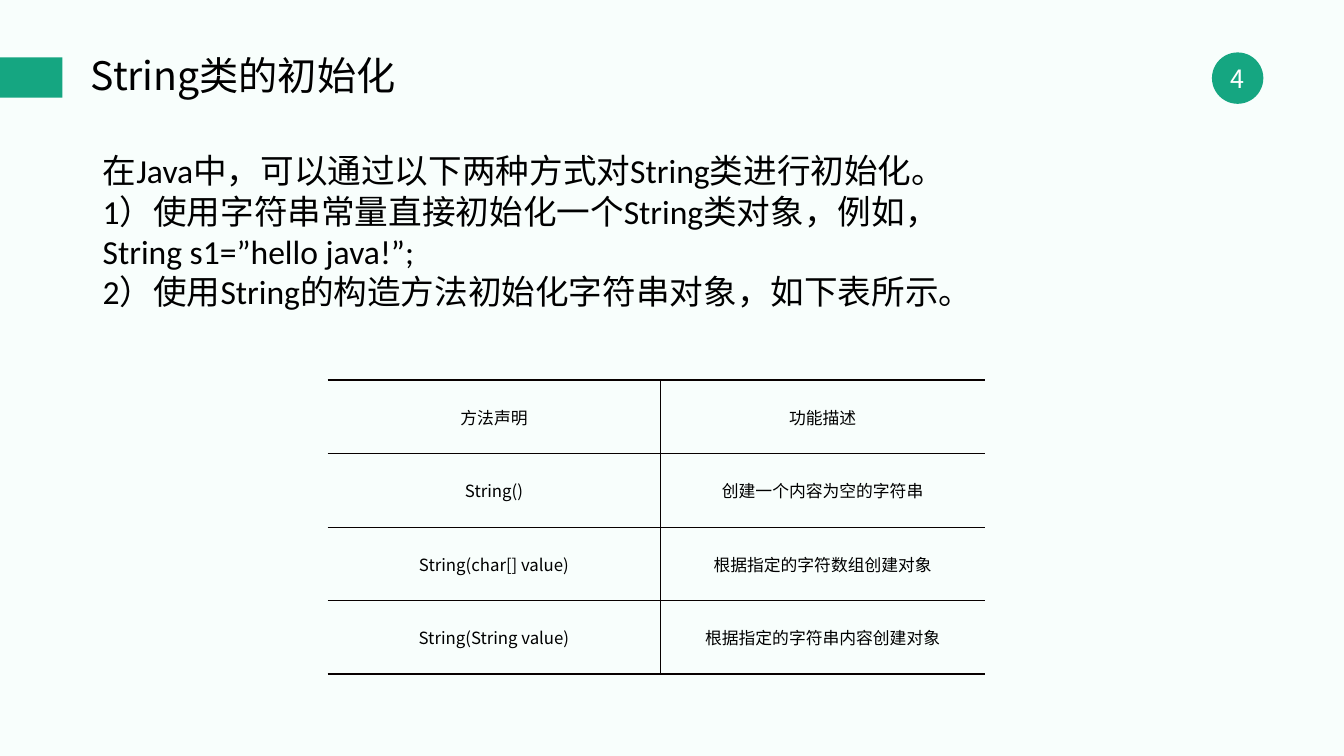
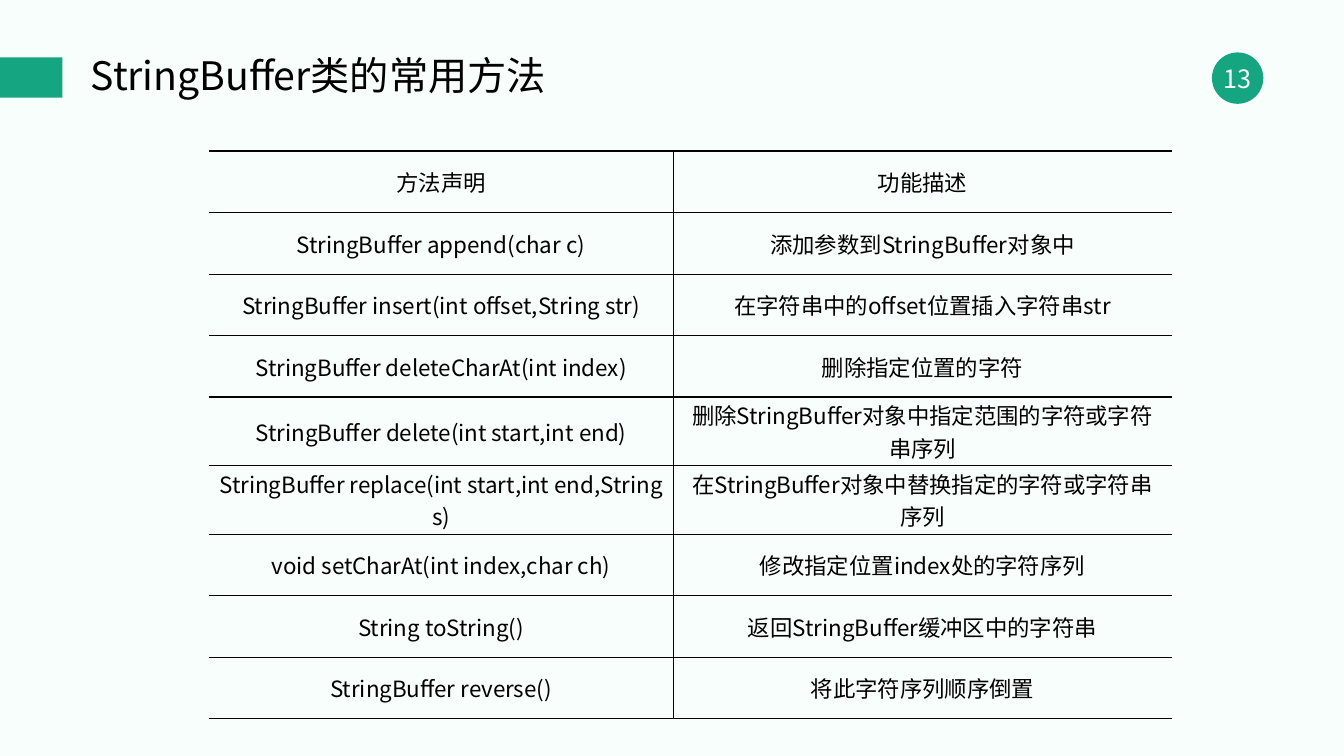
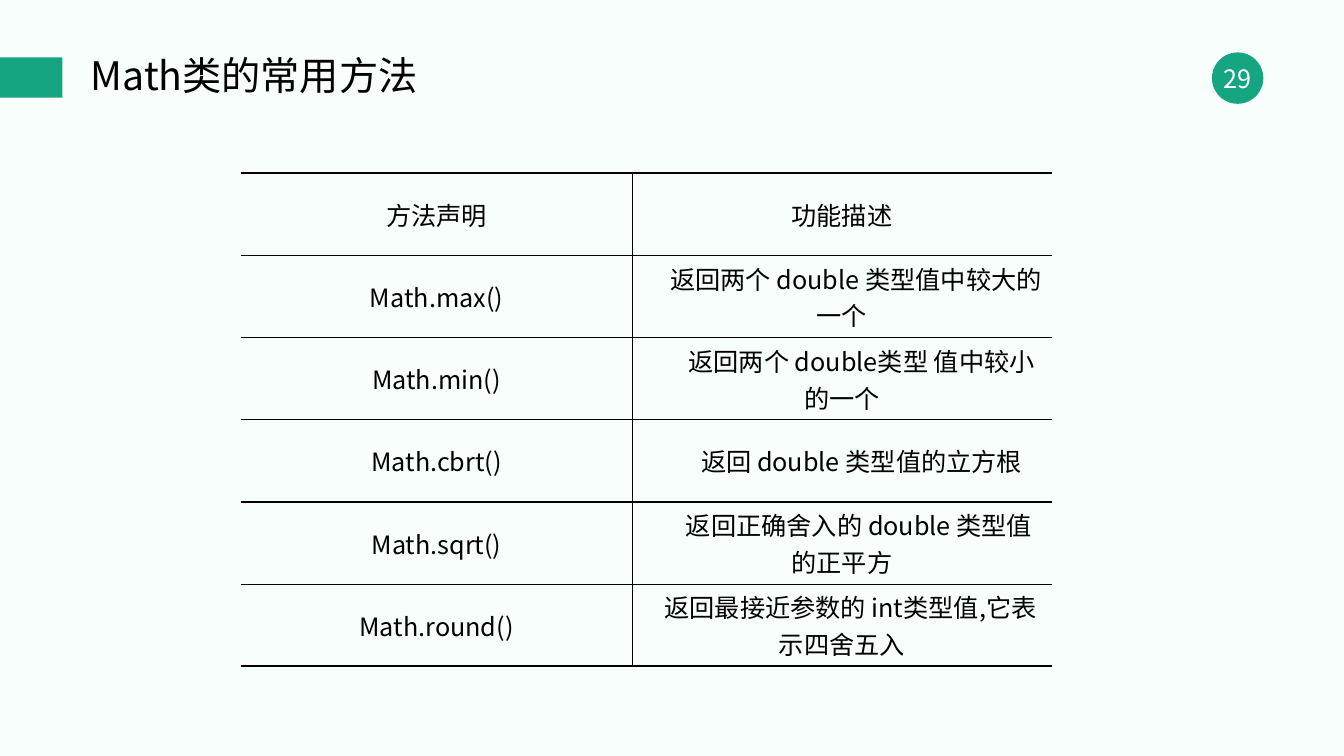
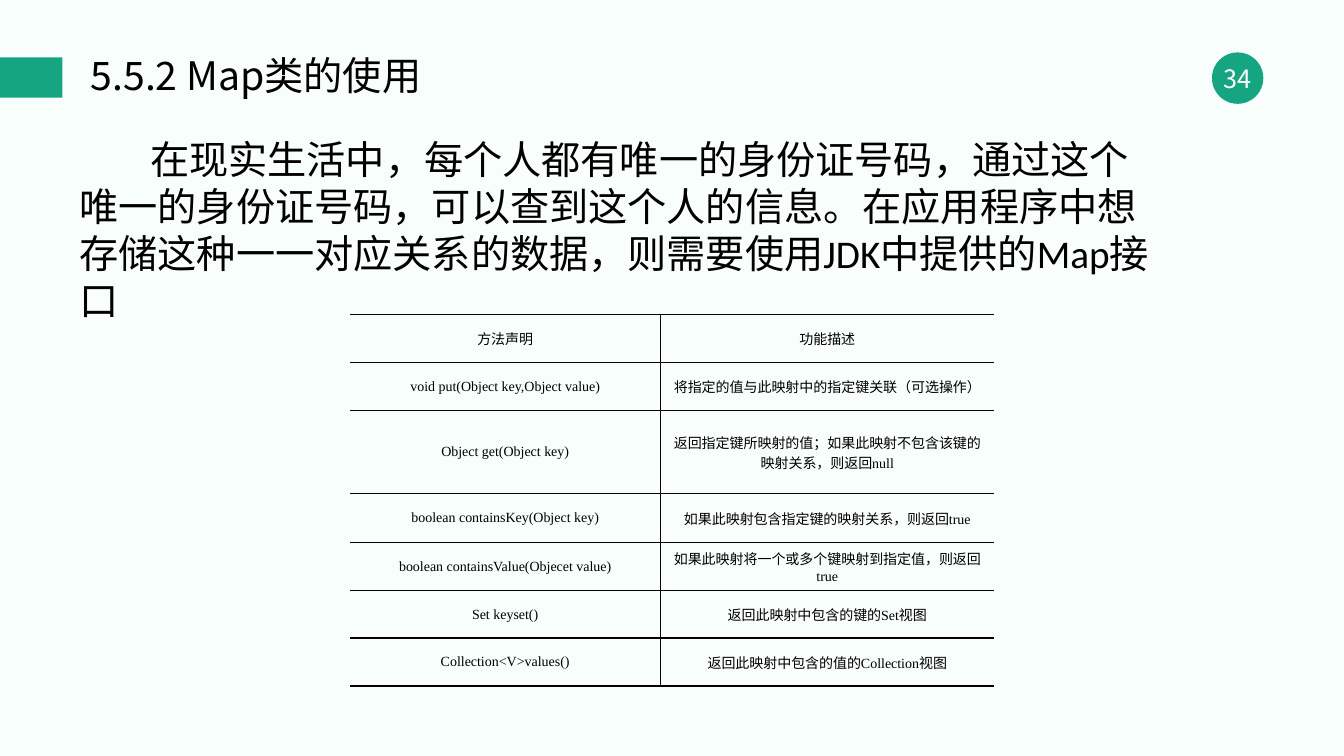
from lxml.etree import SubElement
from pptx import Presentation
from pptx.dml.color import RGBColor
from pptx.enum.shapes import MSO_SHAPE as SHAPE
from pptx.enum.text import MSO_ANCHOR as ANCHOR, MSO_AUTO_SIZE as AUTO, PP_ALIGN as ALIGN
from pptx.oxml.ns import qn
from pptx.util import Inches, Pt

BG, GREEN, WHITE, BLACK, RULE = "F8FEFC", "15A681", "FFFFFF", "000000", "080000"
SANS, BODY, SERIF = "Noto Sans CJK SC", "Calibri", "Times New Roman"
NO_STYLE = "{2D5ABB26-0587-4C30-8999-92F81FD0307C}"
HEADER = ("方法声明", "功能描述")

SLIDES = [
    {
        "title": "String类的初始化", "number": 4,
        "body": {
            "at": (0.92, 1.44, 12.2, 1.72), "size": 24, "indent": 0,
            "lines": [
                "在Java中，可以通过以下两种方式对String类进行初始化。",
                "1）使用字符串常量直接初始化一个String类对象，例如，",
                "String s1=”hello java!”;",
                "2）使用String的构造方法初始化字符串对象，如下表所示。",
            ],
        },
        "table": {
            "at": (3.25, 3.77), "cols": (3.3, 3.22), "heights": [0.73] * 4,
            "size": 12, "latin": SANS,
            "rows": [
                ("String()", "创建一个内容为空的字符串"),
                ("String(char[] value)", "根据指定的字符数组创建对象"),
                ("String(String value)", "根据指定的字符串内容创建对象"),
            ],
        },
    },
    {
        "title": "StringBuffer类的常用方法", "number": 13,
        "table": {
            "at": (2.07, 1.5), "cols": (4.61, 4.94), "heights": [0.61] * 9,
            "size": 16, "latin": SANS,
            "rows": [
                ("StringBuffer append(char c)", "添加参数到StringBuffer对象中"),
                ("StringBuffer insert(int offset,String str)", "在字符串中的offset位置插入字符串str"),
                ("StringBuffer deleteCharAt(int index)", "删除指定位置的字符"),
                ("StringBuffer delete(int start,int end)", "删除StringBuffer对象中指定范围的字符或字符串序列"),
                ("StringBuffer replace(int start,int end,String s)", "在StringBuffer对象中替换指定的字符或字符串序列"),
                ("void setCharAt(int index,char ch)", "修改指定位置index处的字符序列"),
                ("String toString()", "返回StringBuffer缓冲区中的字符串"),
                ("StringBuffer reverse()", "将此字符序列顺序倒置"),
            ],
        },
    },
    {
        "title": "Math类的常用方法", "number": 29,
        "table": {
            "at": (2.39, 1.72), "cols": (3.88, 4.16), "heights": [0.815] * 6,
            "size": 18, "latin": SANS, "indents": (0, 0.28, 0.39, 0.39, 0.34, 0.17),
            "rows": [
                ("Math.max()", "返回两个 double 类型值中较大的一个"),
                ("Math.min()", "返回两个 double类型 值中较小的一个"),
                ("Math.cbrt()", "返回 double 类型值的立方根"),
                ("Math.sqrt()", "返回正确舍入的 double 类型值的正平方"),
                ("Math.round()", "返回最接近参数的 int类型值,它表示四舍五入"),
            ],
        },
    },
    {
        "title": "5.5.2 Map类的使用", "number": 34,
        "body": {
            "at": (0.69, 1.29, 10.81, 1.98), "size": 28, "indent": 0.7,
            "lines": [
                "在现实生活中，每个人都有唯一的身份证号码，通过这个唯一的身份证号码，"
                "可以查到这个人的信息。在应用程序中想存储这种一一对应关系的数据，"
                "则需要使用JDK中提供的Map接口",
            ],
        },
        "table": {
            "at": (3.47, 3.12), "cols": (3.08, 3.31),
            "heights": [0.48, 0.47, 0.83, 0.48, 0.48, 0.47, 0.48],
            "size": 10, "latin": SERIF,
            "rows": [
                ("void put(Object key,Object value)", "将指定的值与此映射中的指定键关联（可选操作）"),
                ("Object get(Object key)", "返回指定键所映射的值；如果此映射不包含该键的映射关系，则返回null"),
                ("boolean containsKey(Object key)", "如果此映射包含指定键的映射关系，则返回true"),
                ("boolean containsValue(Objecet value)", "如果此映射将一个或多个键映射到指定值，则返回true"),
                ("Set keyset()", "返回此映射中包含的键的Set视图"),
                ("Collection<V>values()", "返回此映射中包含的值的Collection视图"),
            ],
        },
    },
]


def rgb(value):
    return RGBColor.from_string(value)


def box(values):
    return [Inches(v) for v in values]


def write(p, text, size, latin, east=None, color=BLACK, align=ALIGN.LEFT, indent=0):
    p.alignment = align
    if indent:
        p._p.get_or_add_pPr().set("indent", str(Inches(indent)))
    r = p.add_run()
    r.text = text
    r.font.size, r.font.name = Pt(size), latin
    r.font.color.rgb = rgb(color)
    SubElement(r._r.get_or_add_rPr(), qn("a:ea"), typeface=east or latin)


def add_mark(slide, kind, at):
    sp = slide.shapes.add_shape(kind, *box(at))
    sp.shadow.inherit = False
    sp.fill.solid()
    sp.fill.fore_color.rgb = rgb(GREEN)
    sp.line.fill.background()
    return sp


def add_frame(slide, title, number):
    add_mark(slide, SHAPE.RECTANGLE, (0, 0.57, 0.62, 0.4))
    tf = add_mark(slide, SHAPE.OVAL, (12.02, 0.52, 0.51, 0.51)).text_frame
    tf.margin_left = tf.margin_right = tf.margin_top = tf.margin_bottom = 0
    tf.word_wrap = False
    tf.vertical_anchor = ANCHOR.MIDDLE
    write(tf.paragraphs[0], str(number), 18, SANS, color=WHITE, align=ALIGN.CENTER)

    sp = slide.shapes.title
    sp.left, sp.top, sp.width, sp.height = box((0.8, 0.52, 7.45, 0.51))
    tf = sp.text_frame
    tf.auto_size = AUTO.NONE
    tf.vertical_anchor = ANCHOR.MIDDLE
    tf.paragraphs[0].line_spacing = 0.9
    write(tf.paragraphs[0], title, 28, SANS)


def add_body(slide, at, size, indent, lines):
    tf = slide.shapes.add_textbox(*box(at)).text_frame
    tf.word_wrap = True
    for i, line in enumerate(lines):
        p = tf.add_paragraph() if i else tf.paragraphs[0]
        write(p, line, size, BODY, indent=indent)


def add_borders(cell, borders):
    tcPr = cell._tc.get_or_add_tcPr()
    for side in ("L", "R", "T", "B"):
        if side in borders:
            ln = SubElement(tcPr, qn("a:ln" + side), w=str(Pt(borders[side])))
            SubElement(SubElement(ln, qn("a:solidFill")), qn("a:srgbClr"), val=RULE)


def add_method_table(slide, at, cols, heights, size, latin, rows, indents=None):
    rows = [HEADER] + rows
    last = len(rows) - 1
    frame = slide.shapes.add_table(len(rows), len(cols), *box((*at, sum(cols), sum(heights))))
    table = frame.table
    table.first_row = table.horz_banding = False
    table._tbl.tblPr.find(qn("a:tableStyleId")).text = NO_STYLE
    for col, width in zip(table.columns, cols):
        col.width = Inches(width)
    for i, row in enumerate(rows):
        table.rows[i].height = Inches(heights[i])
        for j, text in enumerate(row):
            cell = table.cell(i, j)
            cell.margin_left = cell.margin_right = Inches(0.08)
            cell.margin_top = cell.margin_bottom = Inches(0.02)
            cell.vertical_anchor = ANCHOR.MIDDLE
            add_borders(cell, {"L" if j else "R": 1, "T": 1 if i else 1.5, "B": 1.5 if i == last else 1})
            cell.fill.background()
            write(cell.text_frame.paragraphs[0], text, size, latin if i else SANS, SANS,
                  align=ALIGN.CENTER, indent=indents[i] if indents and j else 0)


def main():
    prs = Presentation()
    prs.slide_width, prs.slide_height = box((13.33, 7.5))
    fill = prs.slide_master.background.fill
    fill.solid()
    fill.fore_color.rgb = rgb(BG)
    for data in SLIDES:
        slide = prs.slides.add_slide(prs.slide_layouts[5])
        add_frame(slide, data["title"], data["number"])
        if "body" in data:
            add_body(slide, **data["body"])
        add_method_table(slide, **data["table"])
    prs.save("out.pptx")


if __name__ == "__main__":
    main()
